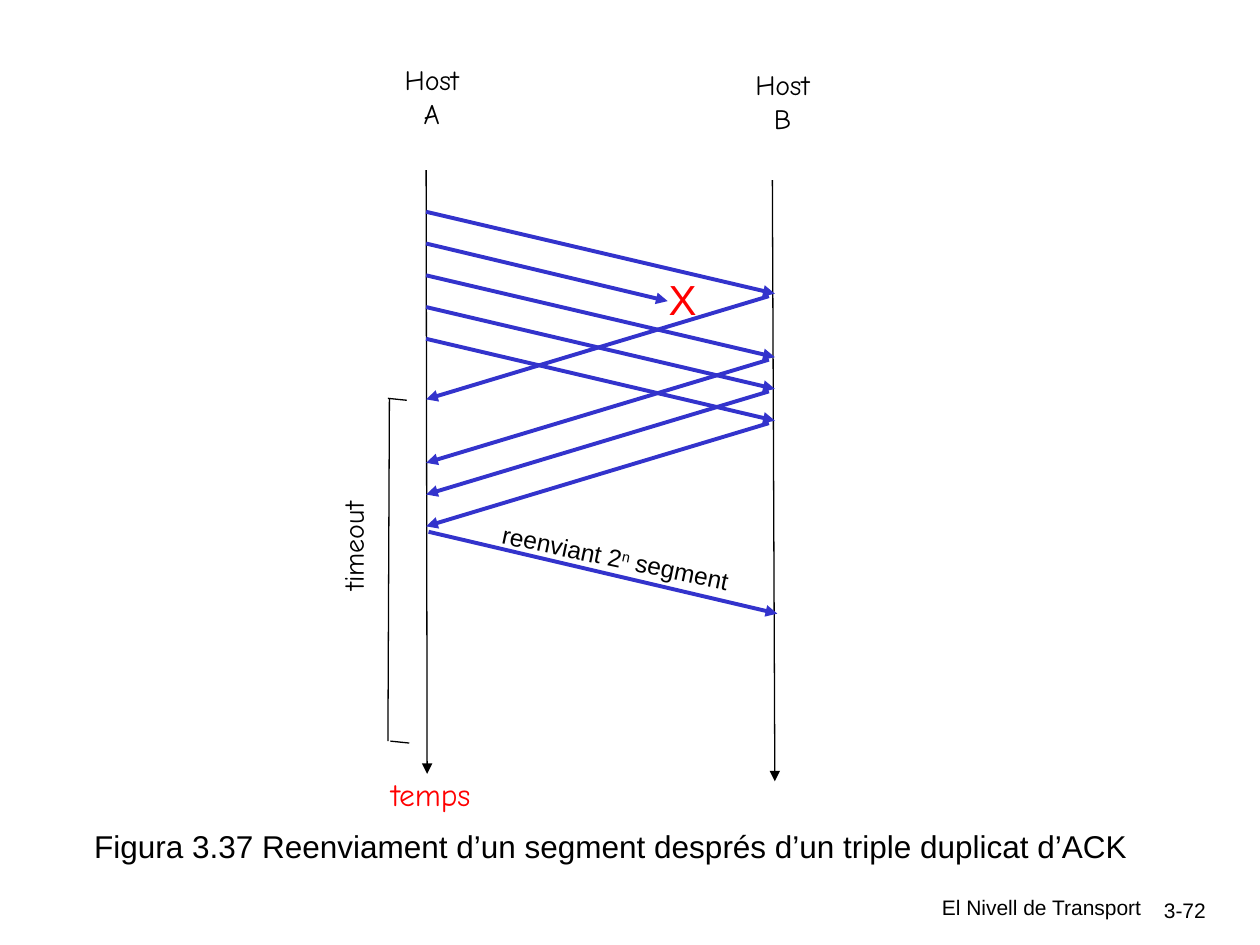
from lxml.etree import SubElement
from pptx import Presentation
from pptx.dml.color import RGBColor
from pptx.enum.shapes import MSO_CONNECTOR
from pptx.enum.text import MSO_AUTO_SIZE, PP_ALIGN
from pptx.oxml.ns import qn
from pptx.util import Cm, Pt

COLORS = {"ink": "000000", "segment": "3333CC", "alert": "FF0000"}
HAND, SANS = "Comic Neue", "Arial"

deck = Presentation()
deck.slide_width, deck.slide_height = Cm(25.4), Cm(19.05)
page = deck.slides.add_slide(deck.slide_layouts[6])


def add_line(start, end, color="ink", width=0.75, arrow=True):
    line = page.shapes.add_connector(
        MSO_CONNECTOR.STRAIGHT, Cm(start[0]), Cm(start[1]), Cm(end[0]), Cm(end[1]))
    line.line.color.rgb = RGBColor.from_string(COLORS[color])
    line.line.width = Pt(width)
    if arrow:
        SubElement(line.line._get_or_add_ln(), qn("a:tailEnd"), type="triangle")
    SubElement(line._element.spPr, qn("a:effectLst"))


def add_label(text, place, size, font=SANS, color="ink", align=PP_ALIGN.CENTER,
              rotation=0, wrap=False, grow=True):
    box = page.shapes.add_textbox(*[Cm(length) for length in place])
    box.rotation = rotation
    frame = box.text_frame
    frame.word_wrap = wrap
    frame.auto_size = MSO_AUTO_SIZE.SHAPE_TO_FIT_TEXT if grow else MSO_AUTO_SIZE.NONE
    para = frame.paragraphs[0]
    para.alignment = align
    for part in text.split("|"):
        span = para.add_run()
        span.text = part
        span.font.size = Pt(size)
        span.font.name = font
        span.font.color.rgb = RGBColor.from_string(COLORS[color])
    return para


host_a, host_b = 8.59, 15.62
step, segment_drop, ack_drop = 0.64, 1.65, 2.08
first_segment, first_ack, lost = 4.27, 5.97, 1

add_line((8.59, 3.43), (8.61, 15.6))
add_line((15.57, 3.63), (15.62, 15.75))

for index in range(5):
    sent = first_segment + index * step
    if index == lost:
        add_line((host_a, sent), (13.46, 6.07), "segment", 2.25)
        continue
    add_line((host_a, sent), (host_b, sent + segment_drop), "segment", 2.25)
    answered = first_ack + index * step
    add_line((15.5, answered), (host_a, answered + ack_drop), "segment", 2.25)

resent = 10.72
add_line((8.64, resent), (15.67, resent + segment_drop), "segment", 2.25)

add_line((7.85, 8.03), (7.82, 14.94), arrow=False)
for left, top in [(7.82, 8.03), (7.87, 14.94)]:
    add_line((left, top), (left + 0.38, top + 0.04), arrow=False)

add_label("Host A", (7.65, 1.14, 2.11, 0.94), 16, HAND)
add_label("Host B", (14.71, 1.24, 2.13, 0.94), 16, HAND)
add_label("timeout", (5.97, 10.54, 2.29, 0.94), 16, HAND, rotation=270)
add_label("temps", (7.62, 15.49, 2.13, 1.02), 18, HAND, "alert")
add_label("X", (13.23, 5.38, 0.79, 1.27), 24, color="alert", wrap=True)

resend = add_label("reenviant 2|n| segment", (9.83, 10.87, 5.64, 0.86), 14,
                   align=PP_ALIGN.LEFT, rotation=11.9, wrap=True)
resend.runs[1]._r.get_or_add_rPr().set("baseline", "30000")

add_label("Figura 3.37 Reenviament d’un segment després d’un triple duplicat d’ACK",
          (1.65, 16.54, 21.34, 1.02), 18, align=PP_ALIGN.LEFT)
add_label("El Nivell de Transport", (15.21, 17.91, 8.05, 0.79), 12,
          align=PP_ALIGN.RIGHT, wrap=True, grow=False)
add_label("3-72", (22.68, 17.96, 1.88, 0.76), 12,
          align=PP_ALIGN.RIGHT, wrap=True, grow=False)

deck.save("out.pptx")
